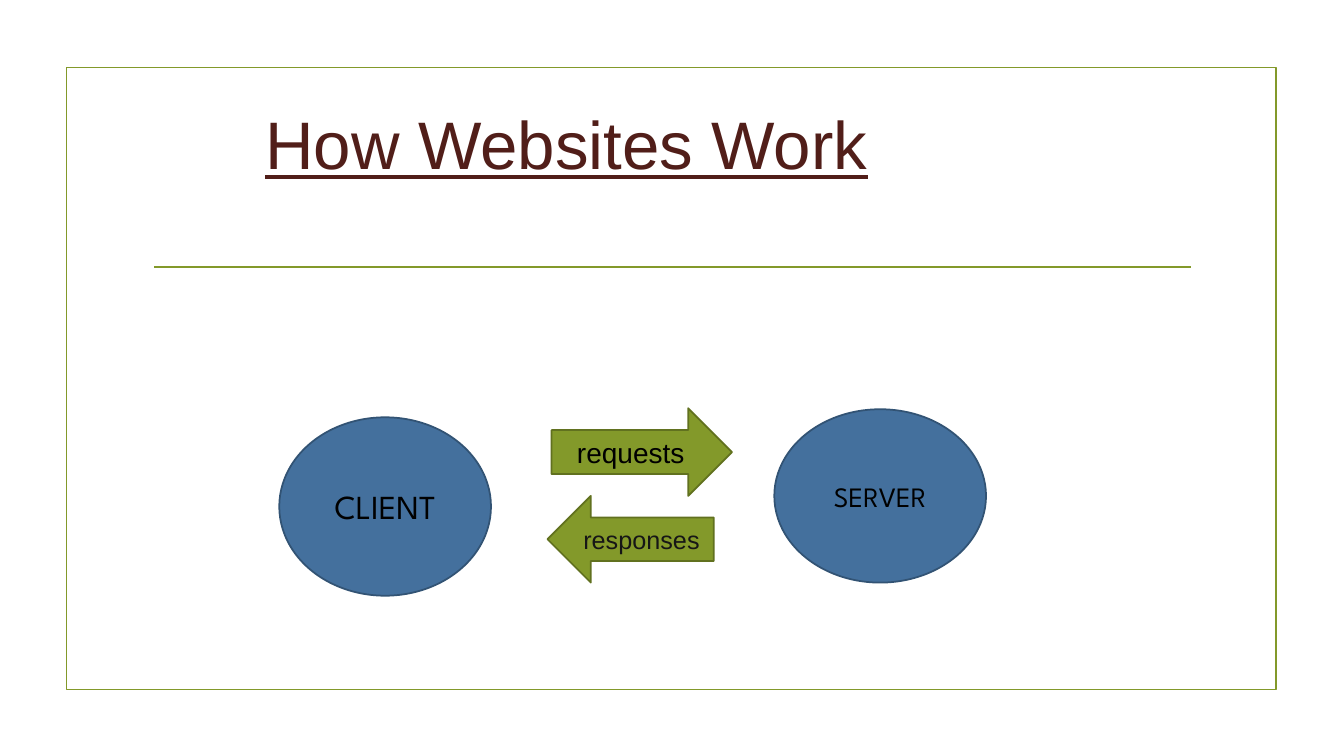
from pptx import Presentation
from pptx.dml.color import RGBColor
from pptx.enum.shapes import MSO_CONNECTOR, MSO_SHAPE
from pptx.enum.text import MSO_ANCHOR, PP_ALIGN
from pptx.oxml.ns import qn
from pptx.util import Inches, Pt
from lxml.etree import SubElement

GREEN = "83992A"
TITLE = "How Websites Work"
FRAME = (0.66, 0.67, 12, 6.17)
RULE = (1.53, 2.65, 11.81, 2.65)
HEAD = (1.42, 0.75, 10.5, 1.34)
INDENT = 1.21

NODE = (MSO_SHAPE.FLOWCHART_CONNECTOR, "44709D", "325374", "League Spartan")
BACK = (MSO_SHAPE.LEFT_ARROW, GREEN, "61711F", "Arial")
FORTH = (MSO_SHAPE.RIGHT_ARROW, GREEN, "61711F", "Arial")
PARTS = [
    ("CLIENT", NODE, (2.77, 4.14, 2.1, 1.77), 24, "000000"),
    ("SERVER", NODE, (7.68, 4.06, 2.1, 1.72), 20, "000000"),
    ("responses", BACK, (5.43, 4.92, 1.65, 0.86), 18, "161616"),
    ("requests", FORTH, (5.47, 4.05, 1.79, 0.87), 20, "000000"),
]


def color(text):
    return RGBColor.from_string(text)


def place(box):
    return [Inches(n) for n in box]


def stroke(item, shade):
    item.line.color.rgb = color(shade)
    item.line.width = Pt(1.25)


def shape(kind, box, fill, edge):
    item = slide.shapes.add_shape(kind, *place(box))
    item.shadow.inherit = False
    if fill:
        item.fill.solid()
        item.fill.fore_color.rgb = color(fill)
    else:
        item.fill.background()
    stroke(item, edge)
    return item


def write(item, text, face, size, shade, align):
    frame = item.text_frame
    frame.word_wrap = True
    frame.vertical_anchor = MSO_ANCHOR.MIDDLE
    line = frame.paragraphs[0]
    line.text = text
    line.alignment = align
    line.font.name = face
    line.font.size = Pt(size)
    line.font.color.rgb = color(shade)
    return line


deck = Presentation()
deck.slide_width, deck.slide_height = Inches(13.33), Inches(7.5)
slide = deck.slides.add_slide(deck.slide_layouts[6])

shape(MSO_SHAPE.RECTANGLE, FRAME, None, GREEN)
rule = slide.shapes.add_connector(MSO_CONNECTOR.STRAIGHT, *place(RULE))
stroke(rule, GREEN)
SubElement(rule._element.spPr, qn("a:effectLst"))

title = slide.shapes.add_textbox(*place(HEAD))
title.text_frame.margin_left = Inches(INDENT)
line = write(title, TITLE, "Arial", 48, "511E19", PP_ALIGN.LEFT)
line.font.underline = True

for text, (kind, fill, edge, face), box, size, shade in PARTS:
    item = shape(kind, box, fill, edge)
    write(item, text, face, size, shade, PP_ALIGN.CENTER)

deck.save("out.pptx")
